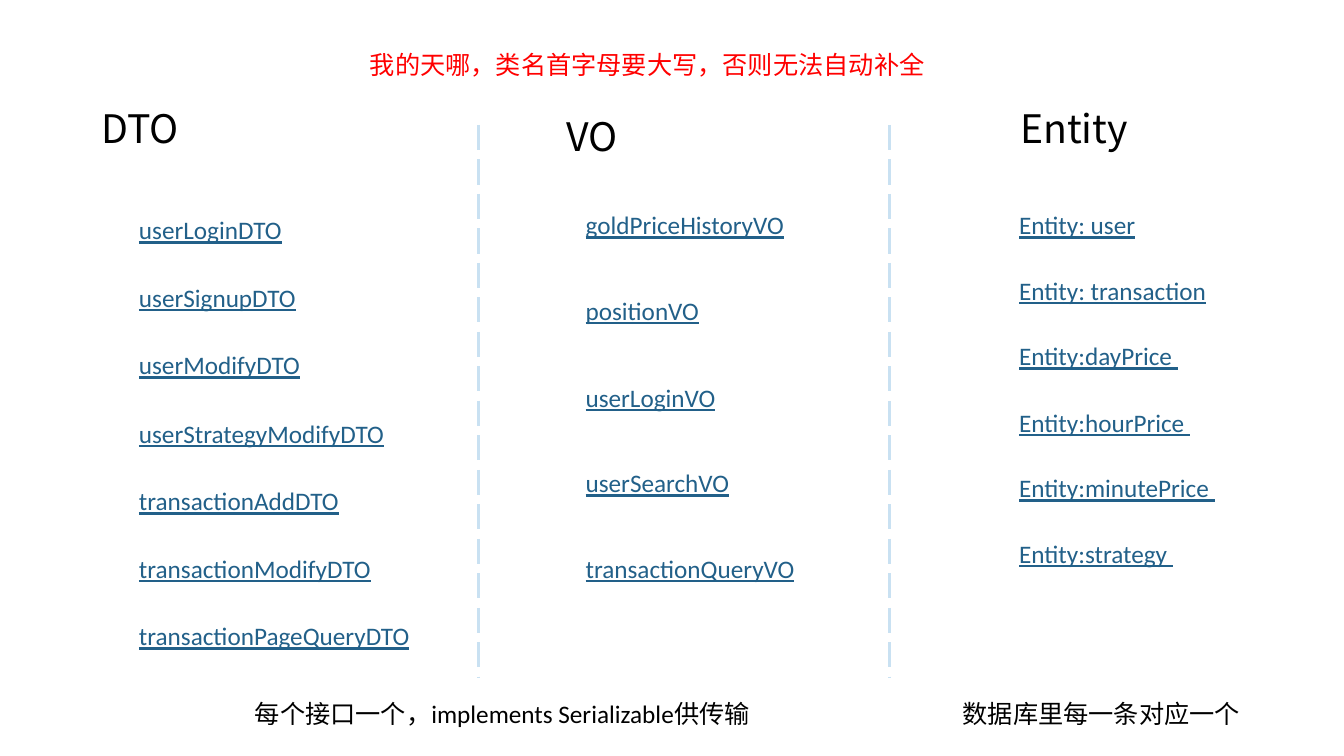
from lxml.etree import SubElement
from pptx import Presentation
from pptx.dml.color import RGBColor
from pptx.enum.dml import MSO_LINE
from pptx.enum.shapes import MSO_CONNECTOR
from pptx.enum.text import MSO_AUTO_SIZE
from pptx.oxml.ns import qn
from pptx.util import Emu, Pt

SCALE = 9144  # EMU per px, 100 px to the inch
SANS = "Noto Sans CJK JP"
BODY = "Calibri"
COLORS = {"text": "000000", "link": "226089", "alert": "FF0000", "rule": "C9E1F2"}

# heading, heading box (left, top), list left, first top, last top, (name, width)
COLUMNS = [
    ("DTO", (91, 99), 128, 208, 611, [
        ("userLoginDTO", 192), ("userSignupDTO", 202), ("userModifyDTO", 196),
        ("userStrategyModifyDTO", 273), ("transactionAddDTO", 237),
        ("transactionModifyDTO", 267), ("transactionPageQueryDTO", 297)]),
    ("VO", (552, 107), 571, 203, 544, [
        ("goldPriceHistoryVO", 223), ("positionVO", 160), ("userLoginVO", 164),
        ("userSearchVO", 169), ("transactionQueryVO", 247)]),
    ("Entity", (1002, 99), 1001, 203, 529, [
        ("Entity: user", 164), ("Entity: transaction", 223),
        ("Entity:dayPrice ", 192), ("Entity:hourPrice ", 242),
        ("Entity:minutePrice ", 242), ("Entity:strategy ", 242)]),
]


def px(n):
    return Emu(n * SCALE)


def add_text(slide, text, box, size=18, face=BODY, color="text", under=None, space=None):
    frame = slide.shapes.add_textbox(*map(px, box)).text_frame
    frame.word_wrap = True
    frame.auto_size = MSO_AUTO_SIZE.SHAPE_TO_FIT_TEXT
    line = frame.paragraphs[0]
    line.line_spacing = space
    run = line.add_run()
    run.text = text
    font = run.font
    font.size = Pt(size)
    font.name = face
    font.underline = under
    font.color.rgb = RGBColor.from_string(COLORS[color])
    # East Asian characters take their face from a separate element
    SubElement(run._r.get_or_add_rPr(), qn("a:ea")).set("typeface", SANS)


def add_rule(slide, x):
    rule = slide.shapes.add_connector(
        MSO_CONNECTOR.STRAIGHT, px(x), px(124), px(x), px(673))
    rule.line.color.rgb = RGBColor.from_string(COLORS["rule"])
    rule.line.width = Pt(2.25)
    rule.line.dash_style = MSO_LINE.LONG_DASH
    SubElement(rule._element.spPr, qn("a:effectLst"))


def add_column(slide, title, spot, left, first, last, names):
    """Draw a heading and its class names, spread evenly from first to last."""
    add_text(slide, title, (*spot, 152, 57), 28, SANS)
    step = (last - first) / (len(names) - 1)
    for i, (name, width) in enumerate(names):
        box = (left, round(first + i * step), width, 40)
        add_text(slide, name, box, color="link", under=True)


def main():
    deck = Presentation()
    deck.slide_width, deck.slide_height = px(1333), px(750)
    slide = deck.slides.add_slide(deck.slide_layouts[6])
    for x in (475, 882):
        add_rule(slide, x)
    for column in COLUMNS:
        add_column(slide, *column)
    add_text(slide, "每个接口一个，implements Serializable供传输", (243, 688, 525, 40))
    add_text(slide, "数据库里每一条对应一个", (945, 688, 305, 40))
    add_text(slide, "我的天哪，类名首字母要大写，否则无法自动补全",
             (357, 14, 651, 63), face=SANS, color="alert", space=2.0)
    deck.save("out.pptx")


if __name__ == "__main__":
    main()
